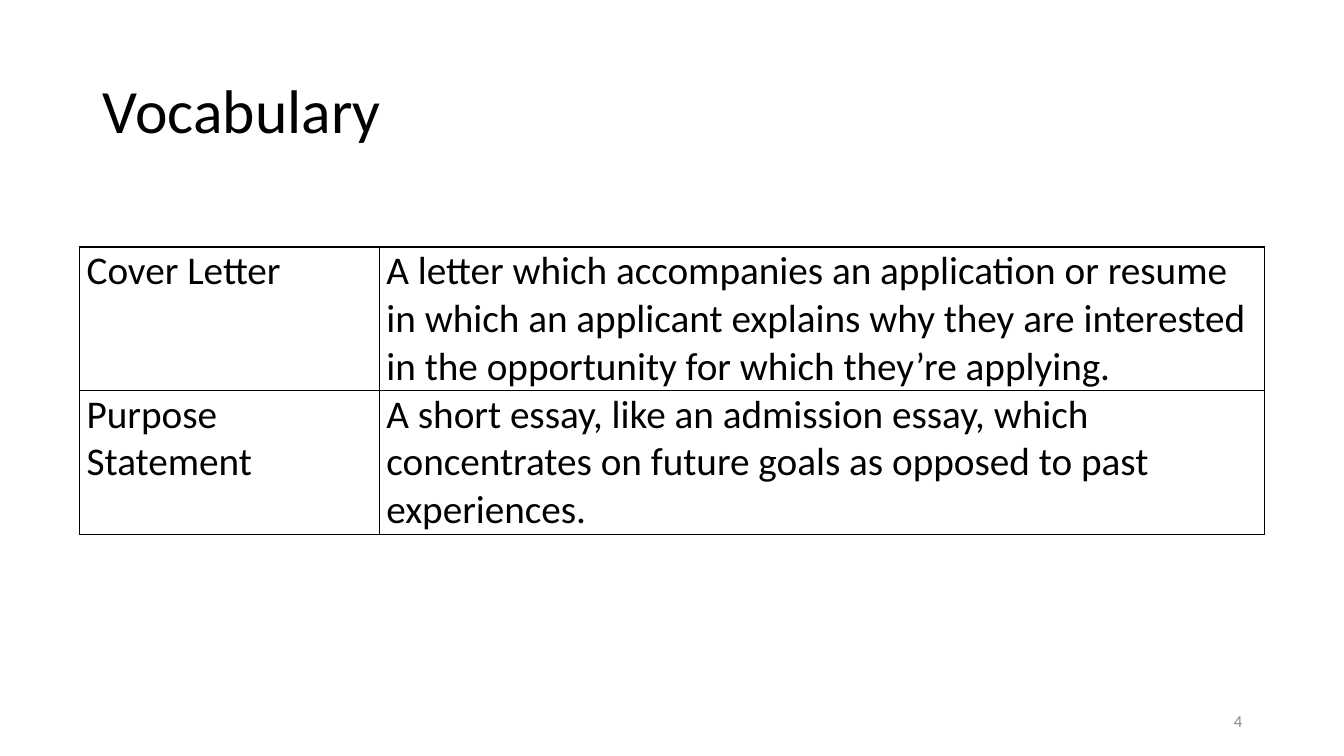
from lxml import etree
from pptx import Presentation
from pptx import util as u
from pptx.dml.color import RGBColor
from pptx.enum import text
from pptx.oxml import ns

COLORS = {"ink": "000000", "page_number": "8C8C8C"}
FONT = "Calibri"
SLIDE_WIDTH, SLIDE_HEIGHT = u.Inches(13.33), u.Inches(7.5)
TERM_SHARE = 0.253
VOCABULARY = [
    ("Cover Letter",
     "A letter which accompanies an application or resume in which an applicant "
     "explains why they are interested in the opportunity for which they’re applying."),
    ("Purpose Statement",
     "A short essay, like an admission essay, which concentrates on future goals "
     "as opposed to past experiences."),
]


def inches(*lengths):
    return [u.Inches(length) for length in lengths]


def write(frame, words, size, color, align=text.PP_ALIGN.LEFT):
    frame.text = words
    frame.word_wrap = True
    paragraph = frame.paragraphs[0]
    paragraph.alignment = align
    font = paragraph.runs[0].font
    font.name, font.size, font.bold = FONT, u.Pt(size), False
    font.color.rgb = RGBColor.from_string(COLORS[color])
    return paragraph


def outline(cell):
    properties = cell._tc.get_or_add_tcPr()
    for position, side in enumerate(("lnL", "lnR", "lnT", "lnB")):
        border = etree.Element(ns.qn(f"a:{side}"), w=str(u.Pt(1)))
        fill = etree.SubElement(border, ns.qn("a:solidFill"))
        etree.SubElement(fill, ns.qn("a:srgbClr"), val=COLORS["ink"])
        properties.insert(position, border)


def add_heading(slide, left, top, width, height):
    heading = slide.shapes.title
    heading.left, heading.top, heading.width, heading.height = left, top, width, height
    write(heading.text_frame, "Vocabulary", 44, "ink").line_spacing = 0.9
    heading.text_frame.vertical_anchor = text.MSO_ANCHOR.MIDDLE


def add_vocabulary(slide, left, top, width, height):
    vocabulary = slide.shapes.add_table(
        len(VOCABULARY), 2, left, top, width, height).table
    vocabulary.first_row = vocabulary.horz_banding = False
    for column, share in zip(vocabulary.columns, (TERM_SHARE, 1 - TERM_SHARE)):
        column.width = int(width * share)
    for row, entry in zip(vocabulary.rows, VOCABULARY):
        for cell, words in zip(row.cells, entry):
            cell.margin_left = cell.margin_right = u.Inches(0.07)
            cell.margin_top = cell.margin_bottom = 0
            cell.fill.background()
            write(cell.text_frame, words, 28, "ink")
            outline(cell)


def add_page_number(slide, left, top, width, height):
    frame = slide.shapes.add_textbox(left, top, width, height).text_frame
    write(frame, "4", 12, "page_number", text.PP_ALIGN.RIGHT)
    frame.vertical_anchor = text.MSO_ANCHOR.MIDDLE


def main():
    deck = Presentation()
    deck.slide_width, deck.slide_height = SLIDE_WIDTH, SLIDE_HEIGHT
    slide = deck.slides.add_slide(deck.slide_layouts.get_by_name("Title Only"))
    add_heading(slide, *inches(0.92, 0.4, 11.5, 1.45))
    add_vocabulary(slide, *inches(0.79, 2.45, 11.75, 2.8))
    add_page_number(slide, *inches(9.42, 6.95, 3, 0.4))
    deck.save("out.pptx")


if __name__ == "__main__":
    main()
